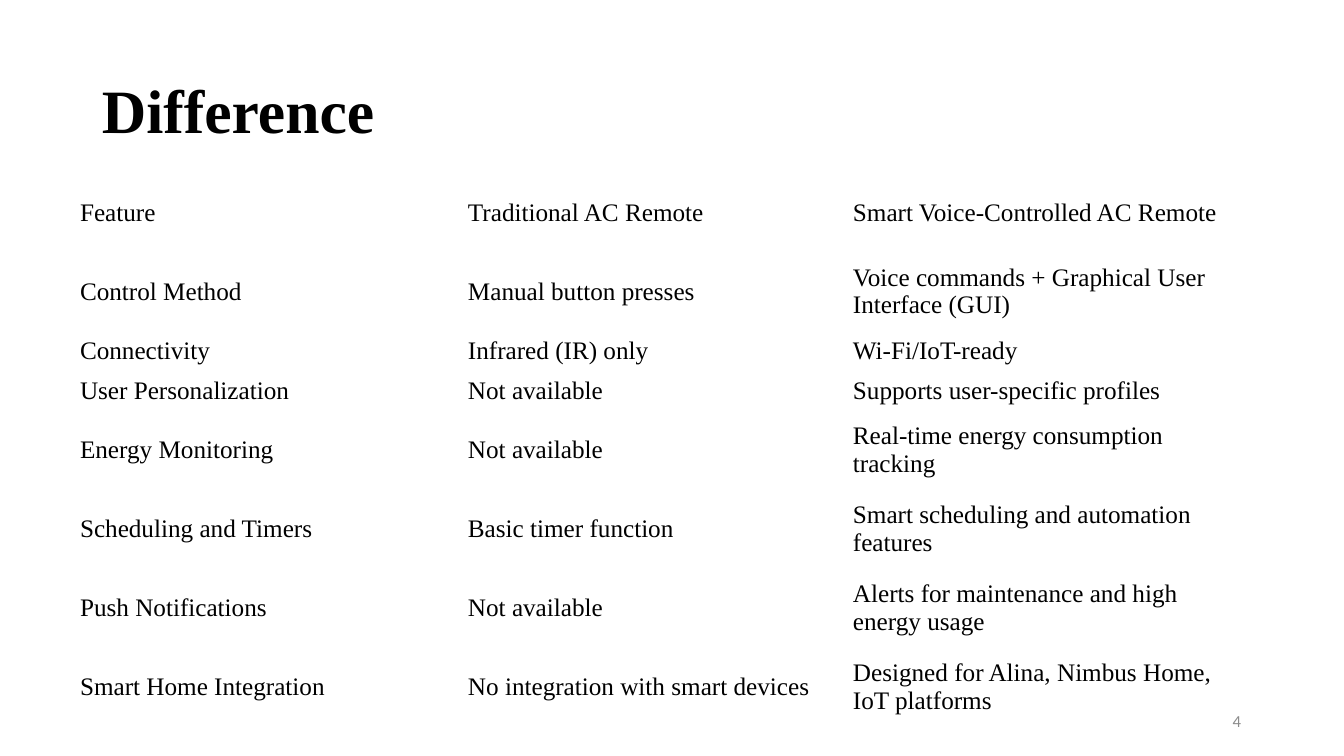
from pptx import Presentation
from pptx.dml.color import RGBColor
from pptx.enum.text import MSO_ANCHOR as ANCHOR, PP_ALIGN as ALIGN
from pptx.oxml.ns import qn
from pptx.util import Emu, Pt

BLACK = RGBColor(0x00, 0x00, 0x00)
GRAY = RGBColor(0x8C, 0x8C, 0x8C)
SERIF, SANS = "Times New Roman", "Calibri"
NO_STYLE_NO_GRID = "{2D5ABB26-0587-4C30-8999-92F81FD0307C}"

COL_WIDTHS = [388, 385, 385]
TALL, SHORT = 79, 40
# Row height, then feature, traditional remote, smart remote
ROWS = [
    (TALL, "Feature", "Traditional AC Remote", "Smart Voice-Controlled AC Remote"),
    (TALL, "Control Method", "Manual button presses",
     "Voice commands + Graphical User Interface (GUI)"),
    (SHORT, "Connectivity", "Infrared (IR) only", "Wi-Fi/IoT-ready"),
    (SHORT, "User Personalization", "Not available", "Supports user-specific profiles"),
    (TALL, "Energy Monitoring", "Not available", "Real-time energy consumption tracking"),
    (TALL, "Scheduling and Timers", "Basic timer function",
     "Smart scheduling and automation features"),
    (TALL, "Push Notifications", "Not available",
     "Alerts for maintenance and high energy usage"),
    (TALL, "Smart Home Integration", "No integration with smart devices",
     "Designed for Alina, Nimbus Home, IoT platforms"),
]


def px(n):
    return Emu(round(n * 914400 / 100.8))


def add_run(p, text, size, font=SERIF, color=BLACK, bold=False):
    r = p.add_run()
    r.text = text
    r.font.size = Pt(size)
    r.font.name = font
    r.font.bold = bold
    r.font.color.rgb = color


def add_text(s, box, text, size, align=ALIGN.LEFT, spacing=1.0, **style):
    tf = s.shapes.add_textbox(*map(px, box)).text_frame
    tf.word_wrap = True
    tf.vertical_anchor = ANCHOR.MIDDLE
    p = tf.paragraphs[0]
    p.alignment = align
    p.line_spacing = spacing
    add_run(p, text, size, **style)


def fill_cell(cell, text):
    cell.fill.background()
    cell.vertical_anchor = ANCHOR.MIDDLE
    cell.margin_left = cell.margin_right = cell.margin_top = cell.margin_bottom = 0
    add_run(cell.text_frame.paragraphs[0], text, 18)


def add_comparison(s, left, top):
    height = sum(row[0] for row in ROWS)
    frame = s.shapes.add_table(len(ROWS), len(COL_WIDTHS), px(left), px(top),
                               px(sum(COL_WIDTHS)), px(height))
    table = frame.table
    table.first_row = table.horz_banding = False
    # A style without grid lines keeps the slide number uncovered
    frame._element.find(".//" + qn("a:tableStyleId")).text = NO_STYLE_NO_GRID
    for col, width in zip(table.columns, COL_WIDTHS):
        col.width = px(width)
    for row, (row_height, *texts) in zip(table.rows, ROWS):
        row.height = px(row_height)
        for cell, text in zip(row.cells, texts):
            fill_cell(cell, text)


def main():
    prs = Presentation()
    prs.slide_width, prs.slide_height = px(1344), px(756)
    s = prs.slides.add_slide(prs.slide_layouts[6])

    # Title
    add_text(s, (92, 41, 1159, 146), "Difference", 44, spacing=0.9, bold=True)
    # Comparison table
    add_comparison(s, 80, 173)
    # Slide number, in front of the table
    add_text(s, (949, 701, 302, 40), "4", 12, ALIGN.RIGHT, font=SANS, color=GRAY)

    prs.save("out.pptx")


if __name__ == "__main__":
    main()
